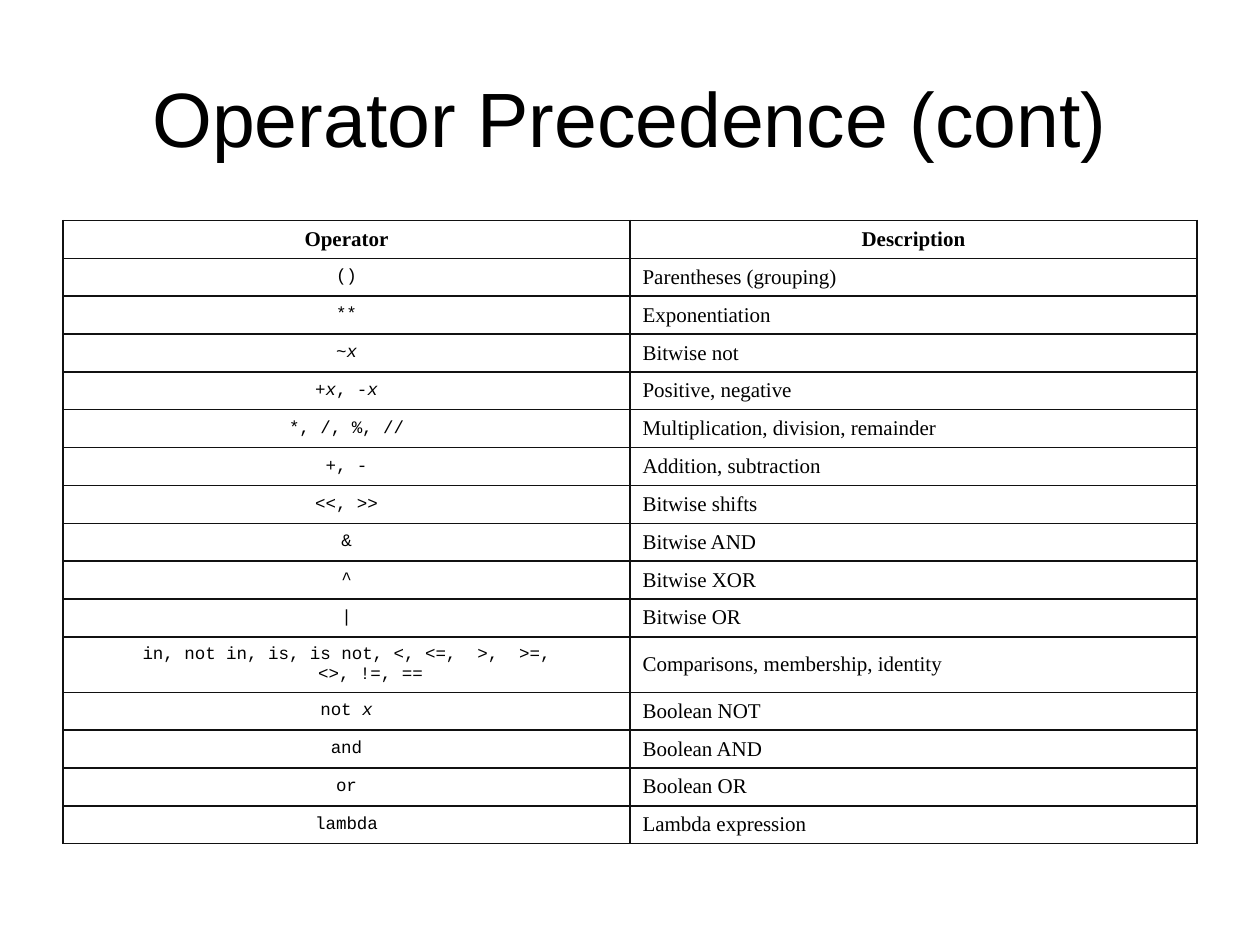
from lxml.etree import SubElement
from pptx import Presentation
from pptx.dml.color import RGBColor
from pptx.enum.text import MSO_ANCHOR, PP_ALIGN
from pptx.oxml.ns import qn
from pptx.util import Inches, Pt

BLACK = RGBColor(0x00, 0x00, 0x00)
BORDER = RGBColor(0x11, 0x11, 0x11)
ROW_HEIGHT = Inches(0.3)
TALL_ROW_HEIGHT = Inches(0.44)
INDENT = Inches(0.38)

ROWS = [
    ("Operator", "Description"),
    ("()", "Parentheses (grouping)"),
    ("**", "Exponentiation"),
    ("~_x", "Bitwise not"),
    ("+_x_, -_x", "Positive, negative"),
    ("*, /, %, //", "Multiplication, division, remainder"),
    ("+, -", "Addition, subtraction"),
    ("<<, >>", "Bitwise shifts"),
    ("&", "Bitwise AND"),
    ("^", "Bitwise XOR"),
    ("|", "Bitwise OR"),
    ("in, not in, is, is not, <, <=,\u00a0 >,\u00a0 >=,\v<>, !=, ==",
     "Comparisons, membership, identity"),
    ("not\u00a0_x", "Boolean NOT"),
    ("and", "Boolean AND"),
    ("or", "Boolean OR"),
    ("lambda", "Lambda expression"),
]


def style_run(run, font_name, size, bold=False, italic=False):
    run.font.name = font_name
    run.font.size = Pt(size)
    run.font.bold = bold
    run.font.italic = italic
    run.font.color.rgb = BLACK


def add_borders(cell):
    properties = cell._tc.get_or_add_tcPr()
    for side in ("a:lnL", "a:lnR", "a:lnT", "a:lnB"):
        line = SubElement(properties, qn(side), w=str(Pt(1)))
        fill = SubElement(line, qn("a:solidFill"))
        SubElement(fill, qn("a:srgbClr"), val=str(BORDER))


presentation = Presentation()
presentation.slide_width = Inches(10)
presentation.slide_height = Inches(7.5)
slide = presentation.slides.add_slide(presentation.slide_layouts[6])

margin = Inches(0.5)
content_width = presentation.slide_width - 2 * margin

title = slide.shapes.add_textbox(margin, Inches(0.3), content_width, Inches(1.25))
title.text_frame.word_wrap = True
title.text_frame.vertical_anchor = MSO_ANCHOR.MIDDLE
title.text_frame.text = "Operator Precedence (cont)"
title_paragraph = title.text_frame.paragraphs[0]
title_paragraph.alignment = PP_ALIGN.CENTER
style_run(title_paragraph.runs[0], "Arial", 44)

table_height = ROW_HEIGHT * (len(ROWS) - 1) + TALL_ROW_HEIGHT
table = slide.shapes.add_table(
    len(ROWS), 2, margin, Inches(1.75), content_width, table_height).table
table.first_row = False
table.horz_banding = False

for row_index, texts in enumerate(ROWS):
    is_header = row_index == 0
    is_tall = "\v" in texts[0]
    table.rows[row_index].height = TALL_ROW_HEIGHT if is_tall else ROW_HEIGHT
    for column_index, text in enumerate(texts):
        cell = table.cell(row_index, column_index)
        cell.vertical_anchor = MSO_ANCHOR.MIDDLE
        add_borders(cell)
        cell.fill.background()

        is_code = column_index == 0 and not is_header
        is_centered = is_code or is_header
        paragraph = cell.text_frame.paragraphs[0]
        paragraph.alignment = PP_ALIGN.CENTER if is_centered else PP_ALIGN.LEFT
        paragraph_properties = paragraph._p.get_or_add_pPr()
        paragraph_properties.set("marL", str(INDENT))
        paragraph_properties.set("indent", str(-INDENT))

        first, *others = text.split("_")
        paragraph.text = first
        for piece in others:
            paragraph.add_run().text = piece
        font_name, size = ("Courier New", 10) if is_code else ("Times New Roman", 12)
        for run in paragraph.runs:
            style_run(run, font_name, size, is_header, run.text == "x")

presentation.save("out.pptx")
